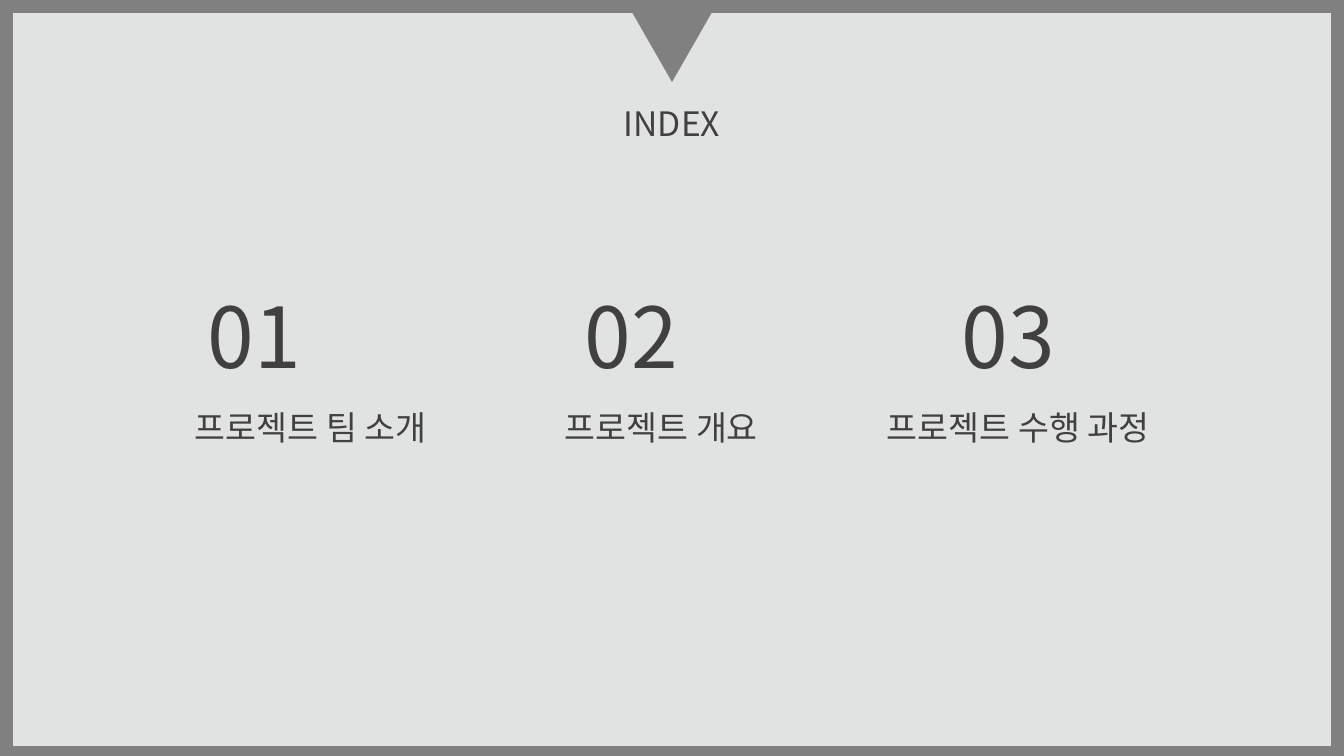
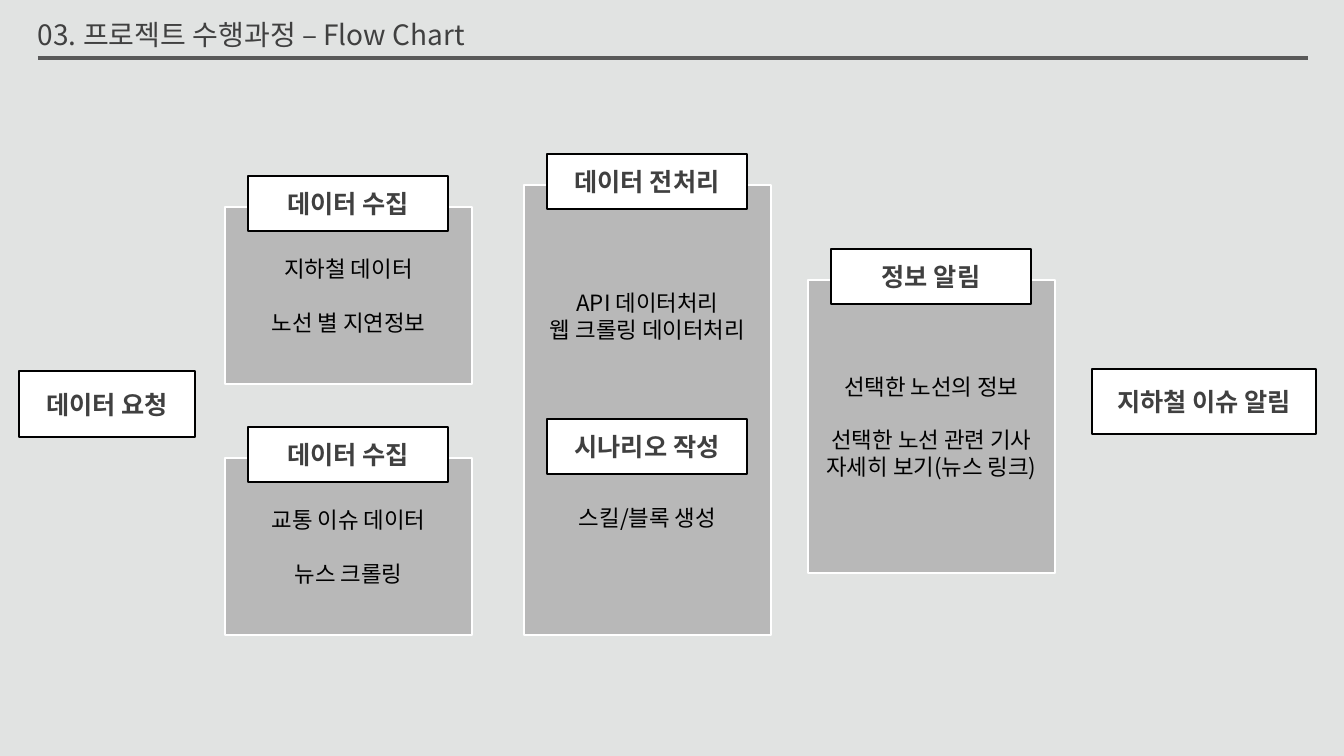
from lxml import etree
from pptx import Presentation
from pptx.dml.color import RGBColor
from pptx.enum.shapes import MSO_CONNECTOR, MSO_SHAPE
from pptx.enum.text import MSO_ANCHOR, MSO_AUTO_SIZE, PP_ALIGN
from pptx.oxml.ns import qn
from pptx.util import Emu, Pt

RECT, TRIANGLE, FRAME = MSO_SHAPE.RECTANGLE, MSO_SHAPE.ISOSCELES_TRIANGLE, MSO_SHAPE.FRAME
STRAIGHT = MSO_CONNECTOR.STRAIGHT
LEFT, CENTER = PP_ALIGN.LEFT, PP_ALIGN.CENTER
MIDDLE, TOP = MSO_ANCHOR.MIDDLE, MSO_ANCHOR.TOP
GROW = MSO_AUTO_SIZE.SHAPE_TO_FIT_TEXT

EMU_PER_PX = 914400 / 100.8
SLIDE_W, SLIDE_H = 1344, 756
FONT = "Noto Sans CJK KR"
BODY_SIZE = 16
BLANK_LINE = 1.2 * BODY_SIZE  # points taken by one skipped body line
COLORS = {
    "background": "E1E3E2",
    "frame": "808080",
    "ink": "404040",
    "rule": "595959",
    "panel": "B8B8B8",
    "white": "FFFFFF",
    "black": "000000",
}


def px(length):
    return Emu(round(length * EMU_PER_PX))


def rgb(name):
    return RGBColor.from_string(COLORS[name])


def write(frame, paragraphs, size=24, color="ink", bold=False, align=LEFT, anchor=TOP):
    """Fill a text frame from (text, skipped lines before it) pairs."""
    frame.word_wrap = True
    frame.vertical_anchor = anchor
    for index, (text, skipped) in enumerate(paragraphs):
        paragraph = frame.add_paragraph() if index else frame.paragraphs[0]
        paragraph.alignment = align
        if skipped:
            paragraph.space_before = Pt(skipped * BLANK_LINE)
        run = paragraph.add_run()
        run.text = text
        run.font.size = Pt(size)
        run.font.bold = bold
        run.font.color.rgb = rgb(color)
        run.font.name = FONT
        latin = run.font._element.find(qn("a:latin"))
        east_asian = etree.Element(qn("a:ea"), typeface=FONT)
        latin.addnext(east_asian)


def add_text(slide, box, text, **style):
    frame = slide.shapes.add_textbox(*map(px, box)).text_frame
    write(frame, [(text, 0)], **style)
    frame.auto_size = GROW


def add_block(slide, preset, box, fill, line=None):
    block = slide.shapes.add_shape(preset, *map(px, box))
    block.shadow.inherit = False
    block.fill.solid()
    block.fill.fore_color.rgb = rgb(fill)
    if line:
        block.line.color.rgb = rgb(line)
        block.line.width = Pt(1)
    else:
        block.line.fill.background()
    return block


def add_label(slide, box, text):
    label = add_block(slide, RECT, box, "white", "black")
    write(label.text_frame, [(text, 0)], size=18, bold=True, align=CENTER, anchor=MIDDLE)


def add_stage(slide, box, headings, paragraphs):
    """Panel with body text and labels at the given offsets from its top."""
    left, top, width, _ = box
    panel = add_block(slide, RECT, box, "panel", "white")
    write(panel.text_frame, paragraphs, size=BODY_SIZE, color="black",
          align=CENTER, anchor=MIDDLE)
    label_width = 200
    for text, offset in headings:
        add_label(slide, (left + (width - label_width) // 2, top + offset, label_width, 55), text)


def add_header(slide, box, text):
    left, top, width, height = box
    add_text(slide, box, text, size=20)
    rule_y = px(top + height + 1)
    rule = slide.shapes.add_connector(STRAIGHT, px(left + 10), rule_y,
                                      px(left + width + 32), rule_y)
    rule.line.color.rgb = rgb("rule")
    rule.line.width = Pt(3)
    etree.SubElement(rule._element.spPr, qn("a:effectLst"))


def add_index_entry(slide, number_box, label_left, label_width, number, label):
    _, top, _, height = number_box
    add_text(slide, number_box, number, size=60)
    add_text(slide, (label_left, top + height + 10, label_width, 50), label)


def new_slide(deck):
    slide = deck.slides.add_slide(deck.slide_layouts[6])
    slide.background.fill.solid()
    slide.background.fill.fore_color.rgb = rgb("background")
    return slide


def build_index(deck):
    slide = new_slide(deck)
    pointer = add_block(slide, TRIANGLE, (625, 0, 94, 82), "frame")
    pointer.rotation = 180
    add_text(slide, (594, 98, 156, 50), "INDEX", align=CENTER)
    entries = [
        (185, 284, "프로젝트 팀 소개"),
        (555, 235, "프로젝트 개요"),
        (877, 323, "프로젝트 수행 과정"),
    ]
    for index, (label_left, label_width, label) in enumerate(entries):
        add_index_entry(slide, (198 + index * 377, 280, 116, 112),
                        label_left, label_width, f"{index + 1:02}", label)
    border = add_block(slide, FRAME, (0, 0, SLIDE_W, SLIDE_H + 3), "frame", "frame")
    border.adjustments[0] = 0.016


def build_flow_chart(deck):
    slide = new_slide(deck)
    width, overlap = 247, -31
    stages = [
        ((225, 207, width, 177), [("데이터 수집", overlap)],
         [("지하철 데이터", 0), ("노선 별 지연정보", 1)]),
        ((225, 458, width, 177), [("데이터 수집", overlap)],
         [("교통 이슈 데이터", 0), ("뉴스 크롤링", 1)]),
        ((524, 185, width, 450), [("데이터 전처리", overlap), ("시나리오 작성", 234)],
         [("API 데이터처리", 0), ("웹 크롤링 데이터처리", 0), ("스킬/블록 생성", 6)]),
        ((808, 280, width, 293), [("정보 알림", overlap)],
         [("선택한 노선의 정보", 0), ("선택한 노선 관련 기사", 1),
          ("자세히 보기(뉴스 링크)", 0)]),
    ]
    for stage in stages:
        add_stage(slide, *stage)
    add_label(slide, (19, 371, 176, 66), "데이터 요청")
    add_label(slide, (1092, 369, 224, 65), "지하철 이슈 알림")
    add_header(slide, (28, 13, 1248, 44), "03. 프로젝트 수행과정 – Flow Chart")


def main():
    deck = Presentation()
    deck.slide_width, deck.slide_height = px(SLIDE_W), px(SLIDE_H)
    build_index(deck)
    build_flow_chart(deck)
    deck.save("out.pptx")


if __name__ == "__main__":
    main()
